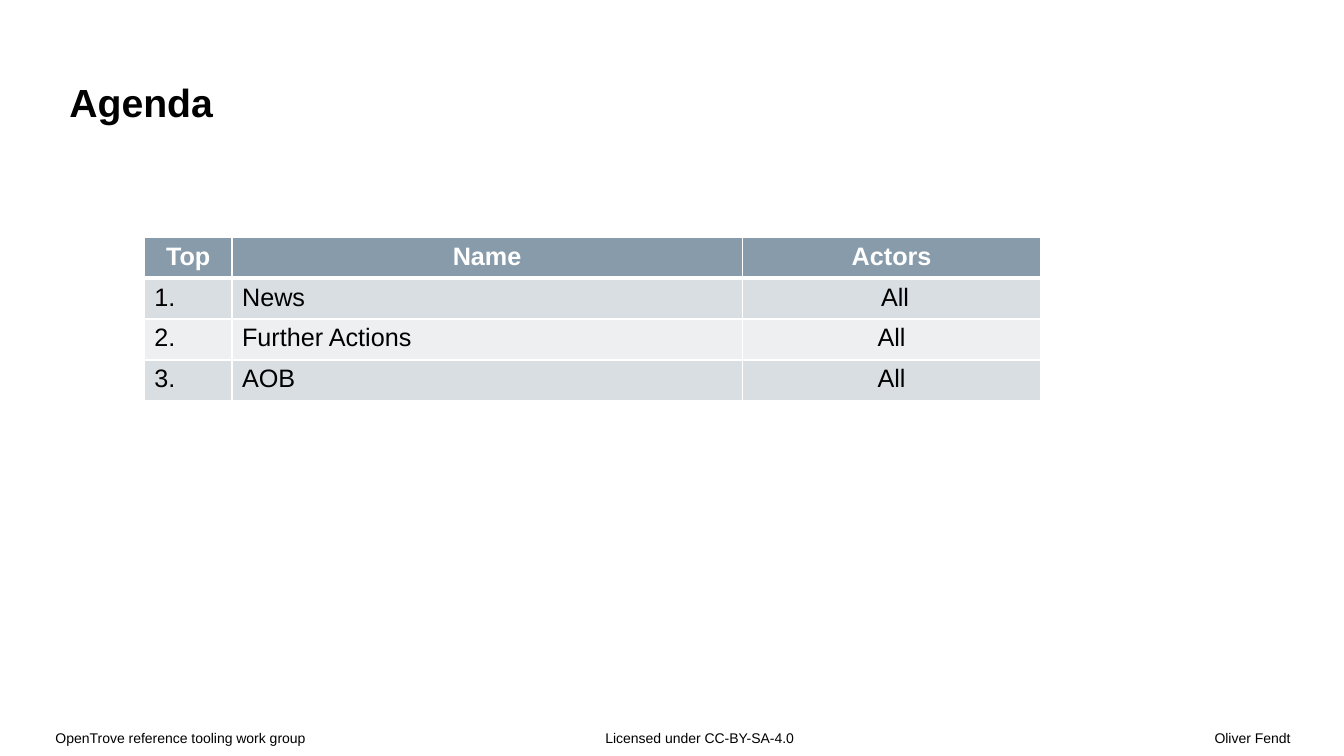
from dataclasses import dataclass
from lxml import etree
from pptx import Presentation, util as u
from pptx.dml.color import RGBColor
from pptx.enum import text
from pptx.oxml.ns import qn

ALIGN = text.PP_ALIGN
ANCHOR = text.MSO_ANCHOR


@dataclass
class Theme:
    font: str = "Arial"
    ink: str = "000000"
    paper: str = "FFFFFF"
    header: str = "879BAA"
    bands: tuple = ("D9DEE2", "EDEFF1")
    title: int = 28
    body: int = 18
    footer: int = 10


def write(tf, content, size, color, font, bold=False, align=ALIGN.LEFT, spacing=None):
    p = tf.paragraphs[0]
    p.alignment = align
    if spacing:
        p.line_spacing = spacing
    r = p.add_run()
    r.text = content
    r.font.name, r.font.size, r.font.bold = font, u.Pt(size), bold
    r.font.color.rgb = RGBColor.from_string(color)


def set_borders(cell, color, widths):
    """Draw cell borders; widths maps a side (L, R, T, B) to points."""
    tc_pr = cell._tc.get_or_add_tcPr()
    for side, width in widths.items():
        ln = etree.SubElement(tc_pr, qn(f"a:ln{side}"), w=str(u.Pt(width)))
        fill = etree.SubElement(ln, qn("a:solidFill"))
        etree.SubElement(fill, qn("a:srgbClr"), val=color)


class Deck:
    def __init__(self, prs, theme):
        self.theme = theme
        self.s = prs.slides.add_slide(prs.slide_layouts[6])

    def textbox(self, content, box, insets, size, anchor=ANCHOR.TOP, **fmt):
        sp = self.s.shapes.add_textbox(*map(u.Cm, box))
        tf = sp.text_frame
        tf.word_wrap = True
        tf.vertical_anchor = anchor
        tf.margin_left, tf.margin_top, tf.margin_right, tf.margin_bottom = map(u.Cm, insets)
        write(tf, content, size, self.theme.ink, self.theme.font, **fmt)

    def table(self, rows, left, top, col_widths, row_height, aligns):
        t = self.theme
        frame = self.s.shapes.add_table(
            len(rows), len(col_widths), u.Cm(left), u.Cm(top),
            u.Cm(sum(col_widths)), u.Cm(row_height * len(rows)))
        tbl = frame.table
        for col, width in zip(tbl.columns, col_widths):
            col.width = u.Cm(width)
        for i, row in enumerate(rows):
            tbl.rows[i].height = u.Cm(row_height)
            head = i == 0
            for j, content in enumerate(row):
                cell = tbl.cell(i, j)
                set_borders(cell, t.paper, {"L": 1, "R": 1, "T": 3 if i == 1 else 1,
                                            "B": 3 if head else 1})
                cell.fill.solid()
                cell.fill.fore_color.rgb = RGBColor.from_string(
                    t.header if head else t.bands[(i - 1) % 2])
                write(cell.text_frame, content, t.body, t.paper if head else t.ink, t.font,
                      bold=head, align=ALIGN.CENTER if head else aligns[j])


prs = Presentation()
prs.slide_width, prs.slide_height = u.Cm(33.88), u.Cm(19.05)
theme = Theme()
deck = Deck(prs, theme)

# Footer: left, top, width, height and insets per entry
FOOTERS = [
    ("OpenTrove reference tooling work group", 0.79, 8.64, (0.61, 0, 0, 0.33), ALIGN.LEFT),
    ("Licensed under CC-BY-SA-4.0", 13.51, 7.65, (1.75, 0, 0, 0.33), ALIGN.LEFT),
    ("Oliver Fendt", 10.52, 23.36, (0, 0, 1.35, 0.33), ALIGN.RIGHT),
]
for content, left, width, insets, align in FOOTERS:
    deck.textbox(content, (left, 18.34, width, 0.71), insets, theme.footer,
                 align=align, spacing=1.1)

# Title
deck.textbox("Agenda", (0, 0, 33.88, 3.53), (1.75, 1.09, 5.89, 0.66), theme.title,
             anchor=ANCHOR.BOTTOM, bold=True)

# Agenda table
AGENDA = [
    ("Top", "Name", "Actors"),
    ("1.", "News", "\u00a0All"),
    ("2.", "Further Actions", "All"),
    ("3.", "AOB", "All"),
]
deck.table(AGENDA, 3.64, 5.98, (2.21, 12.86, 7.53), 1.03,
           (ALIGN.LEFT, ALIGN.LEFT, ALIGN.CENTER))

prs.save("out.pptx")
